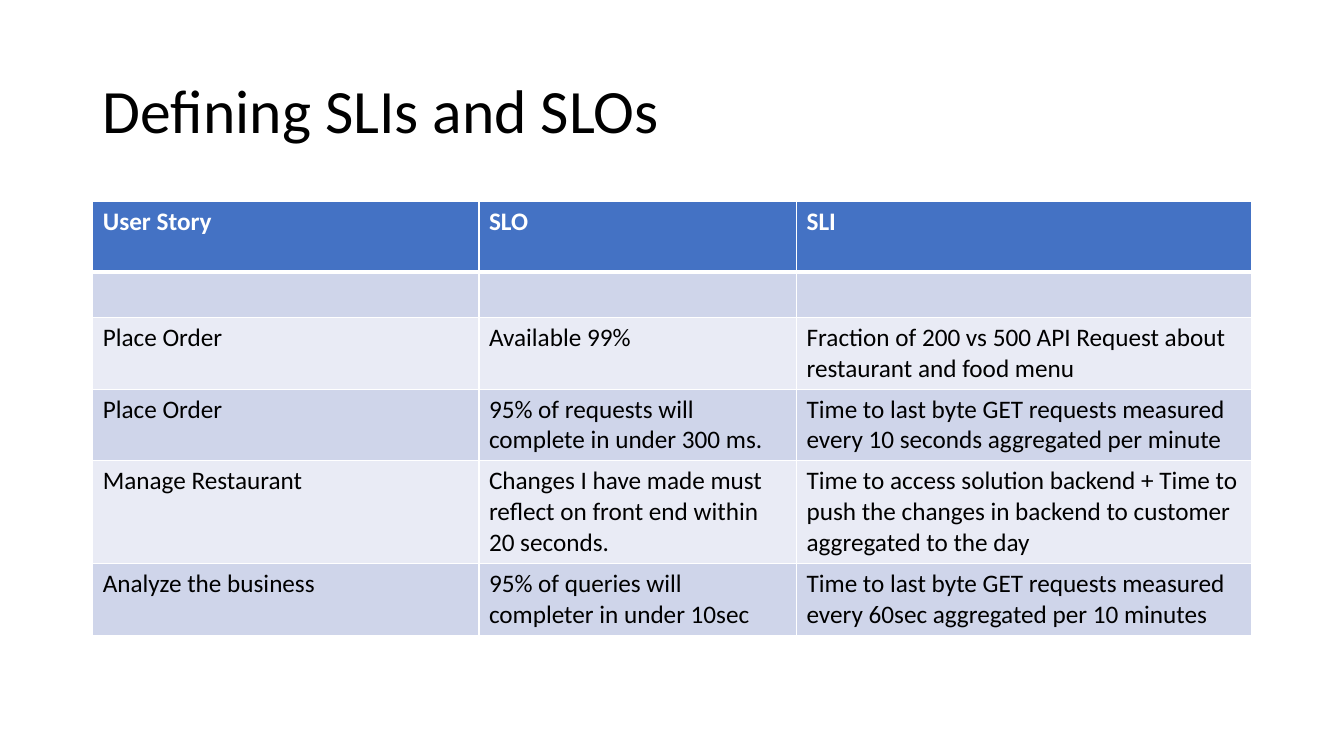
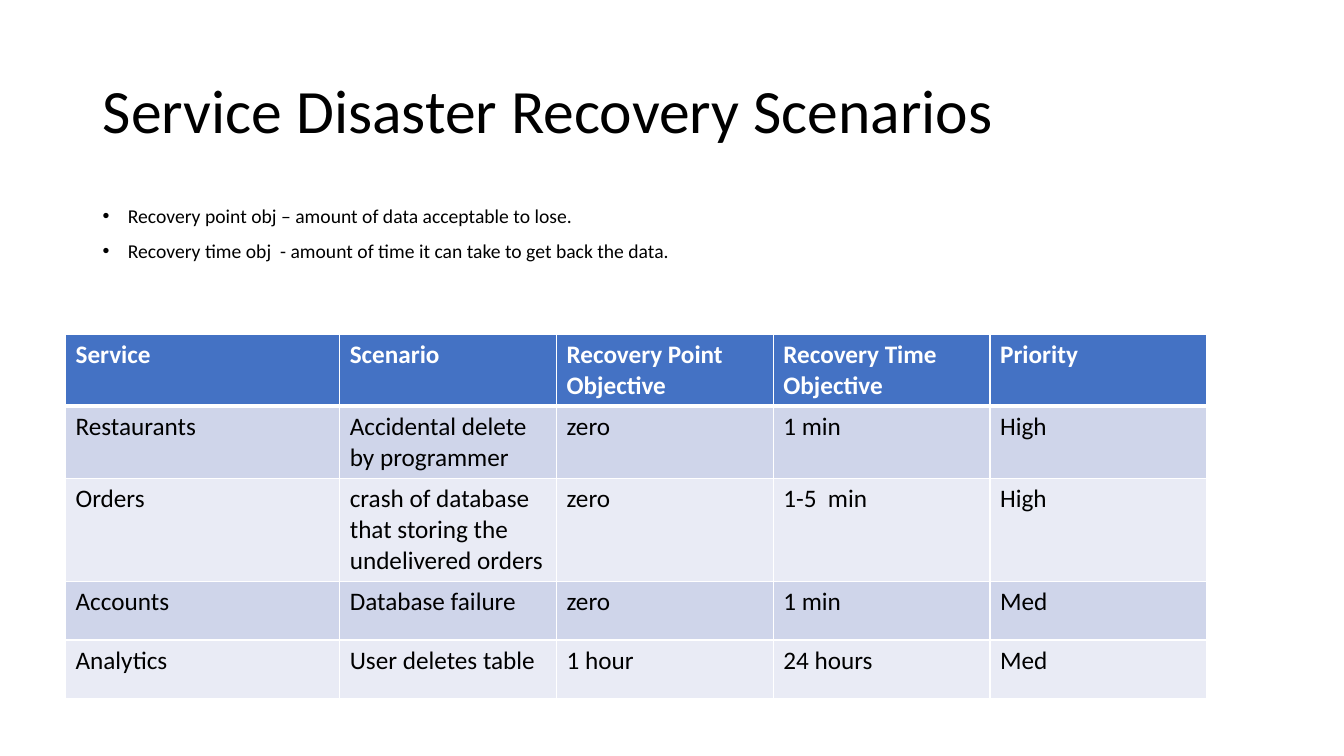
import lxml.etree
import pptx
import pptx.dml.color
import pptx.enum.text
import pptx.oxml.ns
import pptx.util
from pptx.util import Inches

FONT = "Calibri"
BLACK = "000000"
WHITE = "FFFFFF"
HEADER_BLUE = "4472C4"
BANDS = ["CFD5EA", "E9EBF5"]
qn = pptx.oxml.ns.qn


def color(value):
    return pptx.dml.color.RGBColor.from_string(value)


def format_runs(paragraph, size, value, bold=False):
    for run in paragraph.runs:
        run.font.name = FONT
        run.font.size = pptx.util.Pt(size)
        run.font.bold = bold
        run.font.color.rgb = color(value)


slides = [
    {
        "title": "Defining SLIs and SLOs",
        "bullets": [],
        "position": (0.92, 2),
        "columns": [3.83, 3.15, 4.51],
        "heights": [0.7, 0.45, 0.71, 0.71, 1.02, 0.71],
        "rows": [
            ["User Story", "SLO", "SLI"],
            ["", "", ""],
            ["Place Order", "Available 99%",
             "Fraction of 200 vs 500 API Request about restaurant and food menu"],
            ["Place Order", "95% of requests will complete in under 300 ms.",
             "Time to last byte GET requests measured every 10 seconds aggregated per minute"],
            ["Manage Restaurant",
             "Changes I have made must reflect on front end within 20 seconds.",
             "Time to access solution backend + Time to push the changes in backend "
             "to customer aggregated to the day"],
            ["Analyze the business", "95% of queries will completer in under 10sec",
             "Time to last byte GET requests measured every 60sec aggregated per 10 minutes"],
        ],
    },
    {
        "title": "Service Disaster Recovery Scenarios",
        "bullets": [
            "Recovery point obj – amount of data acceptable to lose.",
            "Recovery time obj  - amount of time it can take to get back the data.",
        ],
        "position": (0.65, 3.32),
        "columns": [2.72] + [2.15] * 4,
        "heights": [0.71, 0.72, 1.02, 0.58, 0.58],
        "rows": [
            ["Service", "Scenario", "Recovery Point Objective",
             "Recovery Time Objective", "Priority"],
            ["Restaurants", "Accidental delete by programmer", "zero", "1 min", "High"],
            ["Orders", "crash of database that storing the undelivered orders",
             "zero", "1-5  min", "High"],
            ["Accounts", "Database failure", "zero", "1 min", "Med"],
            ["Analytics", "User deletes table", "1 hour", "24 hours", "Med"],
        ],
    },
]

presentation = pptx.Presentation()
presentation.slide_width = Inches(13.33)
presentation.slide_height = Inches(7.5)

for content in slides:
    slide = presentation.slides.add_slide(presentation.slide_layouts[5])

    title = slide.shapes.title
    title.left, title.top = Inches(0.92), Inches(0.4)
    title.width, title.height = Inches(11.5), Inches(1.45)
    title.text_frame.text = content["title"]
    title.text_frame.vertical_anchor = pptx.enum.text.MSO_ANCHOR.MIDDLE
    paragraph = title.text_frame.paragraphs[0]
    paragraph.alignment = pptx.enum.text.PP_ALIGN.LEFT
    paragraph.line_spacing = 0.9
    format_runs(paragraph, 44, BLACK)

    if content["bullets"]:
        definitions = slide.shapes.add_textbox(Inches(0.92), Inches(2), Inches(11.5), Inches(1))
        definitions.text_frame.word_wrap = True
        definitions.text_frame.text = "\n".join(content["bullets"])
        for paragraph in definitions.text_frame.paragraphs:
            paragraph.line_spacing = 0.9
            paragraph.space_before = pptx.util.Pt(10)
            format_runs(paragraph, 14, BLACK)
            properties = paragraph._p.get_or_add_pPr()
            properties.set("marL", str(Inches(0.25)))
            properties.set("indent", str(Inches(-0.25)))
            lxml.etree.SubElement(properties, qn("a:buFont"), typeface="Arial")
            lxml.etree.SubElement(properties, qn("a:buChar"), char="•")

    rows, columns, heights = content["rows"], content["columns"], content["heights"]
    left, top = content["position"]
    table = slide.shapes.add_table(
        len(rows), len(columns), Inches(left), Inches(top),
        Inches(sum(columns)), Inches(sum(heights))).table
    table.horz_banding = False
    for column, width in zip(table.columns, columns):
        column.width = Inches(width)

    for row_index, row in enumerate(rows):
        table.rows[row_index].height = Inches(heights[row_index])
        is_header = row_index == 0
        fill = HEADER_BLUE if is_header else BANDS[(row_index - 1) % 2]
        top_width = 3 if row_index == 1 else 1
        bottom_width = 3 if is_header else 1
        borders = {"a:lnL": 1, "a:lnR": 1, "a:lnT": top_width, "a:lnB": bottom_width}
        for column_index, text in enumerate(row):
            cell = table.cell(row_index, column_index)
            cell.text_frame.text = text
            format_runs(cell.text_frame.paragraphs[0], 18,
                        WHITE if is_header else BLACK, is_header)
            properties = cell._tc.get_or_add_tcPr()
            for side, width in borders.items():
                line = lxml.etree.SubElement(properties, qn(side), w=str(pptx.util.Pt(width)))
                solid = lxml.etree.SubElement(line, qn("a:solidFill"))
                lxml.etree.SubElement(solid, qn("a:srgbClr"), val=WHITE)
            cell.fill.solid()
            cell.fill.fore_color.rgb = color(fill)

presentation.save("out.pptx")
